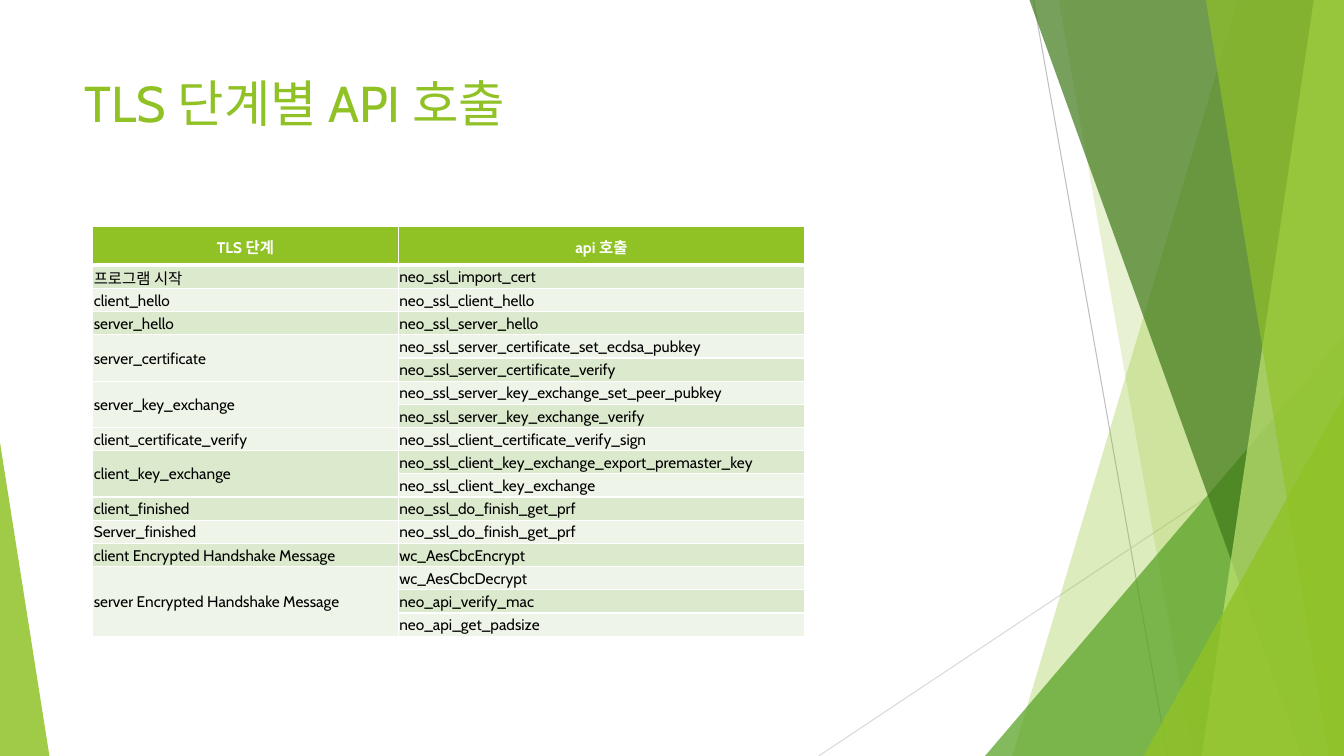
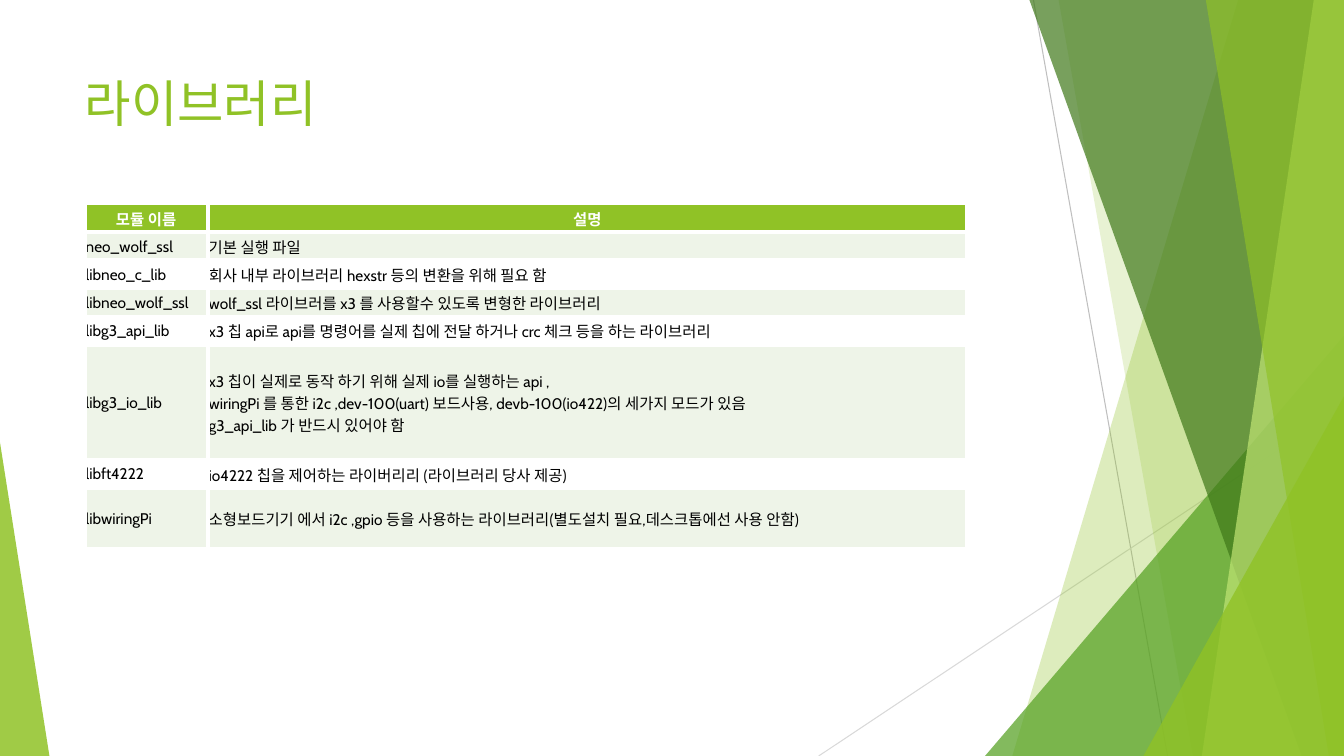
"""Build two slides with TLS call and library tables."""
from lxml import etree
from pptx import Presentation
from pptx.dml.color import RGBColor
from pptx.enum.shapes import MSO_CONNECTOR, MSO_SHAPE
from pptx.enum.text import MSO_ANCHOR, MSO_AUTO_SIZE, PP_ALIGN
from pptx.oxml.ns import qn
from pptx.util import Inches, Pt

STRAIGHT = MSO_CONNECTOR.STRAIGHT
TRIANGLE = MSO_SHAPE.ISOSCELES_TRIANGLE
TOP, MIDDLE = MSO_ANCHOR.TOP, MSO_ANCHOR.MIDDLE
LEFT, CENTER = PP_ALIGN.LEFT, PP_ALIGN.CENTER
NO_FIT = MSO_AUTO_SIZE.NONE

FONT = "Cabin"
W, H = 13.33, 7.5
COLORS = {
    "lime": "90C226", "green": "54A021", "forest": "3F7819", "pale": "C0E474",
    "gray": "BFBFBF", "silver": "D9D9D9", "white": "FFFFFF", "black": "000000",
    "band": "DBE9CD", "light": "EEF4E8",
}

TLS_CALLS = [
    ("프로그램 시작", ["neo_ssl_import_cert"]),
    ("client_hello", ["neo_ssl_client_hello"]),
    ("server_hello", ["neo_ssl_server_hello"]),
    ("server_certificate", ["neo_ssl_server_certificate_set_ecdsa_pubkey",
                            "neo_ssl_server_certificate_verify"]),
    ("server_key_exchange", ["neo_ssl_server_key_exchange_set_peer_pubkey",
                             "neo_ssl_server_key_exchange_verify"]),
    ("client_certificate_verify", ["neo_ssl_client_certificate_verify_sign"]),
    ("client_key_exchange", ["neo_ssl_client_key_exchange_export_premaster_key",
                             "neo_ssl_client_key_exchange"]),
    ("client_finished", ["neo_ssl_do_finish_get_prf"]),
    ("Server_finished", ["neo_ssl_do_finish_get_prf"]),
    ("client Encrypted Handshake Message", ["wc_AesCbcEncrypt"]),
    ("server Encrypted Handshake Message", ["wc_AesCbcDecrypt", "neo_api_verify_mac",
                                            "neo_api_get_padsize"]),
]
LIBRARIES = [
    ("neo_wolf_ssl", ["기본 실행 파일"]),
    ("libneo_c_lib", ["회사 내부 라이브러리 hexstr 등의 변환을 위해 필요 함"]),
    ("libneo_wolf_ssl", ["wolf_ssl 라이브러를 x3 를 사용할수 있도록 변형한 라이브러리"]),
    ("libg3_api_lib", ["x3 칩 api로 api를 명령어를 실제 칩에 전달 하거나 crc 체크 등을 하는 라이브러리"]),
    ("libg3_io_lib", ["x3 칩이 실제로 동작 하기 위해 실제 io를 실행하는 api ,\n"
                      "wiringPi 를 통한 i2c ,dev-100(uart) 보드사용, devb-100(io422)의 세가지 모드가 있음\n"
                      "g3_api_lib 가 반드시 있어야 함"]),
    ("libft4222", ["io4222 칩을 제어하는 라이버리리 (라이브러리 당사 제공)"]),
    ("libwiringPi", ["소형보드기기 에서 i2c ,gpio 등을 사용하는 라이브러리"
                     "(별도설치 필요,데스크톱에선 사용 안함)"]),
]


def rgb(name):
    """Return the named colour."""
    return RGBColor.from_string(COLORS[name])


def write(tf, text, size=11, color="black", bold=False, align=LEFT, anchor=MIDDLE):
    """Fill a text frame, one paragraph per line, in one format."""
    tf.text = text
    tf.word_wrap = True
    tf.vertical_anchor = anchor
    for p in tf.paragraphs:
        p.alignment = align
        for r in p.runs:
            r.font.name = FONT
            r.font.size = Pt(size)
            r.font.bold = bold
            r.font.color.rgb = rgb(color)


def paint(sp, color, opacity):
    """Give a shape a translucent fill without line or shadow."""
    sp.shadow.inherit = False
    sp.fill.solid()
    sp.fill.fore_color.rgb = rgb(color)
    sp.line.fill.background()
    clr = sp.element.spPr.find(".//" + qn("a:srgbClr"))
    etree.SubElement(clr, qn("a:alpha"), val=str(opacity * 1000))


def add_line(slide, x1, y1, x2, y2, color):
    """Draw a thin line."""
    sp = slide.shapes.add_connector(STRAIGHT, *map(Inches, (x1, y1, x2, y2)))
    sp.line.color.rgb = rgb(color)
    sp.line.width = Pt(0.75)
    etree.SubElement(sp.element.spPr, qn("a:effectLst"))


def add_panel(slide, top_x, bottom_x, color, opacity):
    """Draw a full-height panel from a slanted left edge to the slide's right edge."""
    fb = slide.shapes.build_freeform(Inches(top_x), 0)
    fb.add_line_segments([(Inches(x), Inches(y))
                          for x, y in ((W, 0), (W, H), (bottom_x, H))])
    paint(fb.convert_to_shape(), color, opacity)


def add_corner(slide, x, y, width, apex, color, opacity):
    """Draw a right triangle that stands on the bottom edge."""
    sp = slide.shapes.add_shape(TRIANGLE, *map(Inches, (x, y, width, H - y)))
    sp.adjustments[0] = apex
    paint(sp, color, opacity)


def add_facets(slide):
    """Draw the green facets that frame every slide."""
    add_line(slide, 10.25, 0, 11.58, H, "gray")
    add_line(slide, W, 4.03, 8.12, H, "silver")
    add_panel(slide, 12.28, 10.04, "lime", 30)
    add_panel(slide, 10.5, 11.83, "lime", 20)
    add_corner(slide, 9.77, 3.33, 3.56, 1, "green", 72)
    add_panel(slide, 10.21, 12.91, "forest", 70)
    add_panel(slide, 13.03, 11.92, "pale", 70)
    add_panel(slide, 11.96, 13.18, "lime", 65)
    add_corner(slide, 11.34, 3.93, 1.99, 1, "lime", 80)
    add_corner(slide, 0, 4.39, 0.49, 0, "lime", 85)


def set_borders(cell, **widths):
    """Give a cell white borders of the given widths in points."""
    tc_pr = cell._tc.get_or_add_tcPr()
    for i, side in enumerate("LRTB"):
        ln = etree.Element(qn("a:ln" + side), w=str(Pt(widths[side])))
        fill = etree.SubElement(ln, qn("a:solidFill"))
        etree.SubElement(fill, qn("a:srgbClr"), val=COLORS["white"])
        tc_pr.insert(i, ln)


def style_cell(cell, fill, border, top, bottom):
    """Set the fill, margins and borders of a cell."""
    cell.fill.solid()
    cell.fill.fore_color.rgb = rgb(fill)
    cell.margin_left = cell.margin_right = cell.margin_top = Inches(0.01)
    cell.margin_bottom = 0
    cell.vertical_anchor = MIDDLE
    set_borders(cell, L=border, R=border, T=top, B=bottom)


def add_grid(slide, x, y, cols, rows, header, groups, bands, border):
    """Draw a banded table whose first column spans the rows of each group."""
    table = slide.shapes.add_table(len(rows), len(cols), Inches(x), Inches(y),
                                   Inches(sum(cols)), Inches(sum(rows))).table
    for col, width in zip(table.columns, cols):
        col.width = Inches(width)
    for i, height in enumerate(rows):
        table.rows[i].height = Inches(height)
        fill = bands[(i - 1) % 2] if i else "lime"
        for j in range(len(cols)):
            style_cell(table.cell(i, j), fill, border,
                       3 if i == 1 else border, 3 if i == 0 else border)
    for j, text in enumerate(header):
        write(table.cell(0, j).text_frame, text, color="white", bold=True, align=CENTER)
    row = 1
    for name, items in groups:
        write(table.cell(row, 0).text_frame, name)
        for k, item in enumerate(items):
            write(table.cell(row + k, 1).text_frame, item)
        if len(items) > 1:
            table.cell(row, 0).merge(table.cell(row + len(items) - 1, 0))
        row += len(items)


def add_table_slide(prs, title, **grid):
    """Add a slide with facets, a title and a table."""
    slide = prs.slides.add_slide(prs.slide_layouts[5])
    add_facets(slide)
    sp = slide.shapes.title
    sp.left, sp.top, sp.width, sp.height = map(Inches, (0.74, 0.67, 9.4, 1.44))
    write(sp.text_frame, title, size=36, color="lime", anchor=TOP)
    sp.text_frame.auto_size = NO_FIT
    add_grid(slide, **grid)


def main():
    """Build and save the presentation."""
    prs = Presentation()
    prs.slide_width, prs.slide_height = Inches(W), Inches(H)
    add_table_slide(prs, "TLS 단계별 API 호출", x=0.92, y=2.25, cols=[3.03, 4.03],
                    rows=[0.38] + [0.23] * 16, header=["TLS 단계", "api 호출"],
                    groups=TLS_CALLS, bands=["band", "light"], border=1)
    add_table_slide(prs, "라이브러리", x=0.84, y=2.02, cols=[1.22, 7.53],
                    rows=[0.28] * 5 + [1.14, 0.28, 0.61], header=["모듈 이름", "설명"],
                    groups=LIBRARIES, bands=["light", "white"], border=3)
    prs.save("out.pptx")


main()
